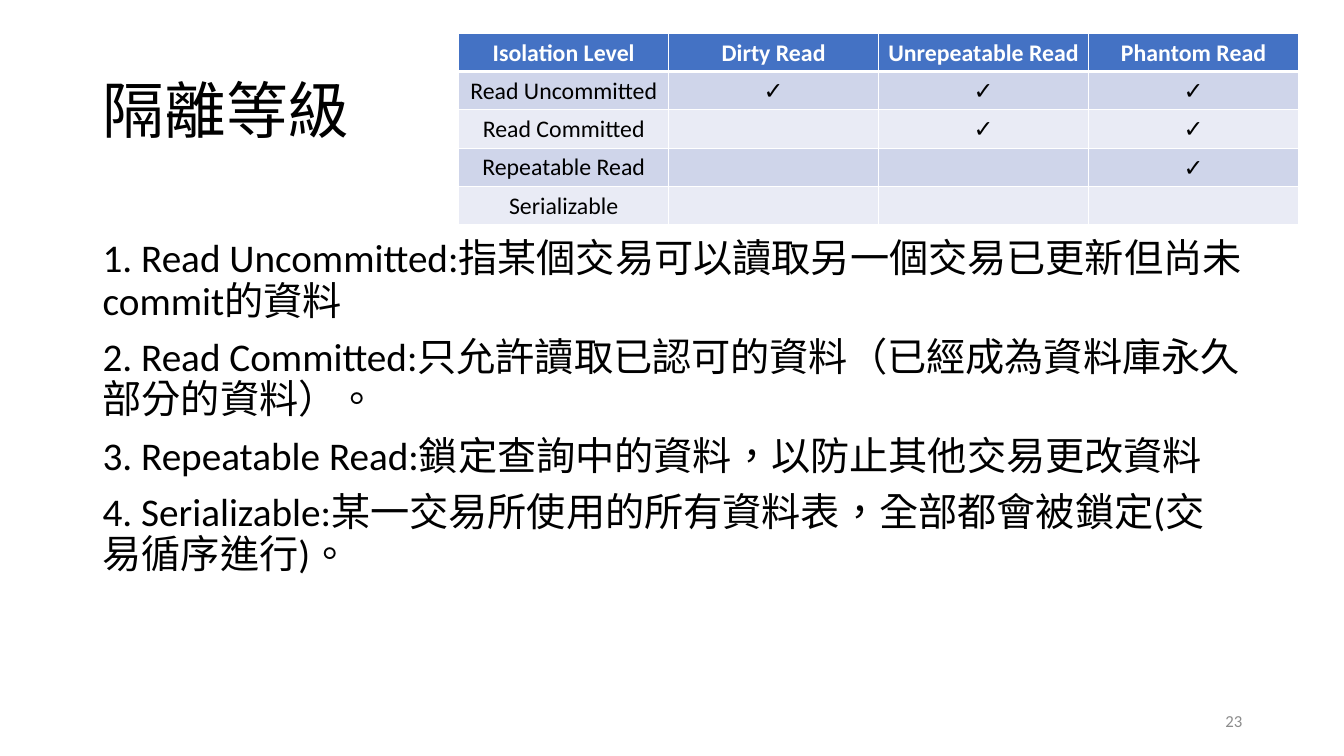
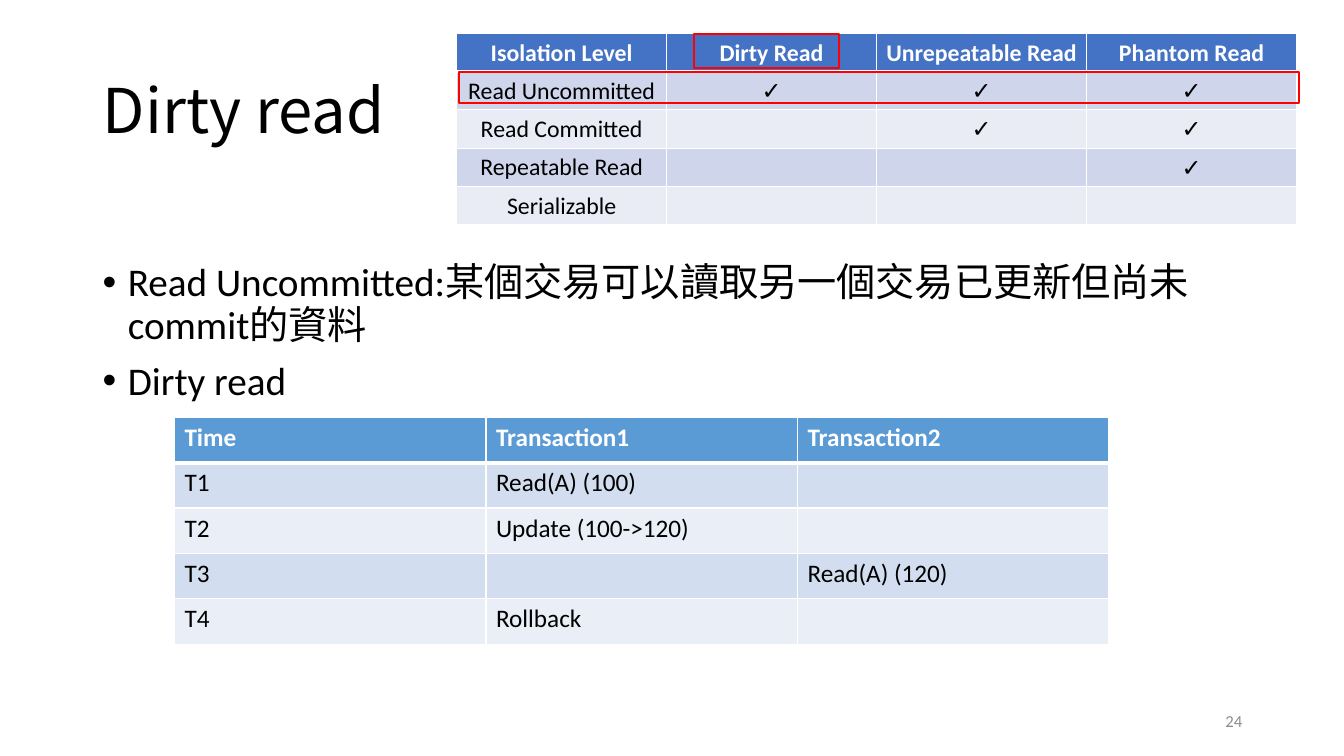
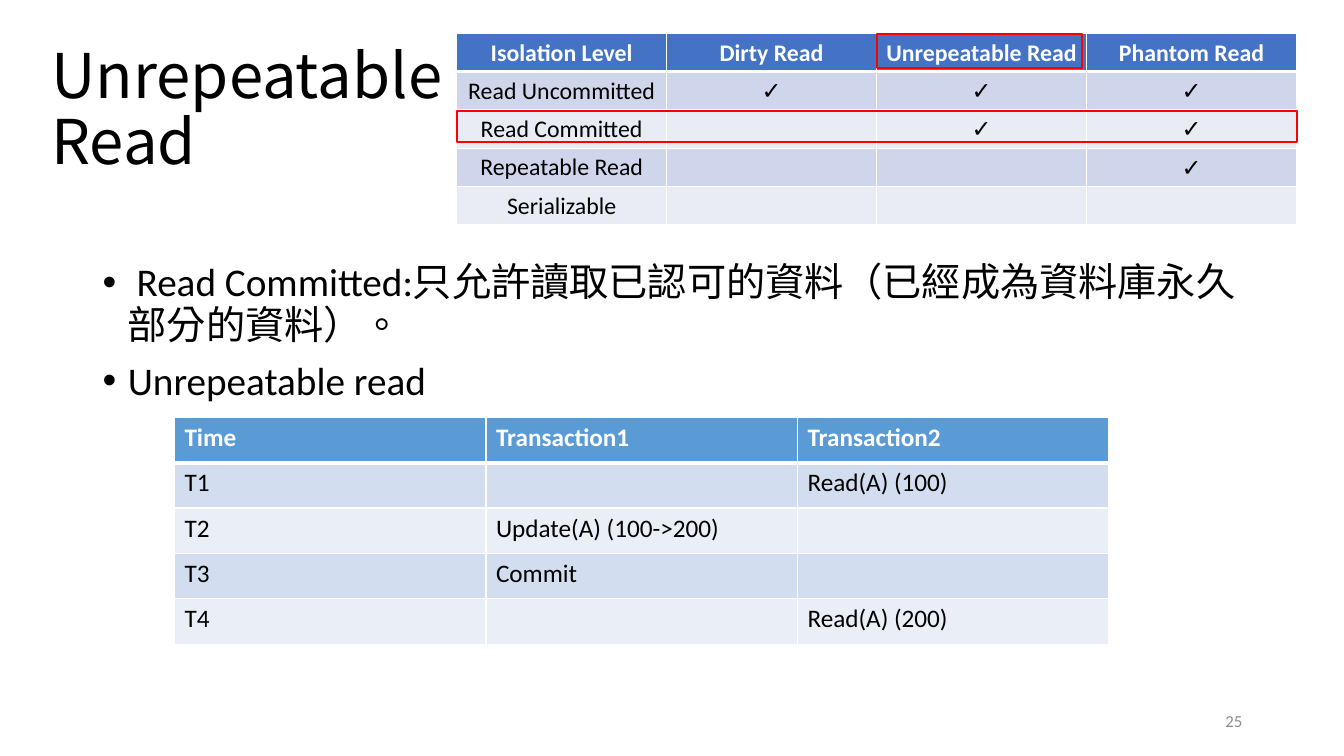
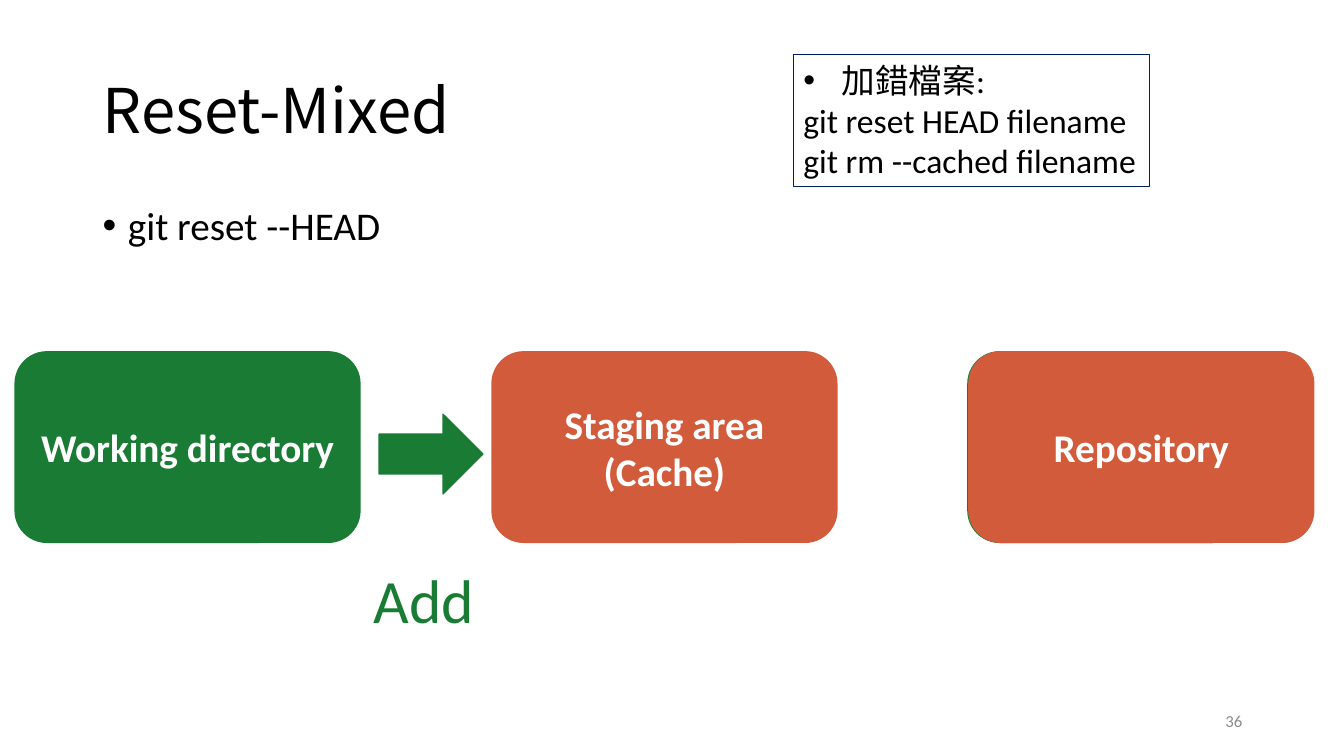
from lxml import etree
from pptx import Presentation
from pptx.dml.color import RGBColor
from pptx.enum.shapes import MSO_SHAPE
from pptx.enum.text import MSO_ANCHOR, MSO_AUTO_SIZE, PP_ALIGN
from pptx.oxml.ns import qn
from pptx.util import Inches, Pt

LEFT, CENTER, RIGHT = PP_ALIGN.LEFT, PP_ALIGN.CENTER, PP_ALIGN.RIGHT
TOP, MIDDLE = MSO_ANCHOR.TOP, MSO_ANCHOR.MIDDLE
NO_FIT, GROW = MSO_AUTO_SIZE.NONE, MSO_AUTO_SIZE.SHAPE_TO_FIT_TEXT
RECT, ROUNDED = MSO_SHAPE.RECTANGLE, MSO_SHAPE.ROUNDED_RECTANGLE
ARROW, FRAME = MSO_SHAPE.RIGHT_ARROW, MSO_SHAPE.FLOWCHART_PROCESS

BLACK = RGBColor(0x00, 0x00, 0x00)
WHITE = RGBColor(0xFF, 0xFF, 0xFF)
GRAY = RGBColor(0x8C, 0x8C, 0x8C)
RED = RGBColor(0xFF, 0x00, 0x00)
NAVY = RGBColor(0x00, 0x20, 0x60)
GREEN = RGBColor(0x1A, 0x7C, 0x34)
ORANGE = RGBColor(0xD1, 0x5B, 0x3B)
BLUE_BANDS = (RGBColor(0x44, 0x72, 0xC4), RGBColor(0xCF, 0xD5, 0xEA), RGBColor(0xE9, 0xEB, 0xF5))
SKY_BANDS = (RGBColor(0x5B, 0x9B, 0xD5), RGBColor(0xD2, 0xDE, 0xEF), RGBColor(0xEA, 0xEF, 0xF7))

BODY_FONT, CJK_FONT, SYMBOL_FONT = "Calibri", "Noto Sans CJK SC", "Arial"
TITLE_BOX = (0.92, 0.4, 11.5, 1.45)
NUMBER_BOX = (9.42, 6.95, 3, 0.4)
LEVEL_BOX = (4.53, 0.33, 8.33, 1.9)
TIME_BOX = (1.73, 4.14, 9.27, 2.25)
FLOW_BOX = (0.15, 3.49, 12.88, 1.89)

CHECK = "✓"
LEVELS = [
    ("Isolation Level", "Dirty Read", "Unrepeatable Read", "Phantom Read"),
    ("Read Uncommitted", CHECK, CHECK, CHECK),
    ("Read Committed", "", CHECK, CHECK),
    ("Repeatable Read", "", "", CHECK),
    ("Serializable", "", "", ""),
]
TIME_HEAD = ("Time", "Transaction1", "Transaction2")


def inches(box):
    return [Inches(v) for v in box]


def add_bullet(p, indent):
    pPr = p._p.get_or_add_pPr()
    pPr.set("marL", str(Inches(indent)))
    pPr.set("indent", str(-Inches(indent)))
    etree.SubElement(pPr, qn("a:buFont")).set("typeface", SYMBOL_FONT)
    etree.SubElement(pPr, qn("a:buChar")).set("char", "•")


def write(tf, paragraphs, size=18, font=BODY_FONT, color=BLACK, bold=False,
          align=LEFT, spacing=None, before=None, bullets=(), indent=0.25):
    for i, text in enumerate(paragraphs):
        p = tf.paragraphs[0] if i == 0 else tf.add_paragraph()
        p.alignment = align
        p.line_spacing = spacing
        p.space_before = before
        if i in bullets:
            add_bullet(p, indent)
        for j, line in enumerate(text.split("\n")):
            if j:
                p.add_line_break()
            r = p.add_run()
            r.text = line
            r.font.size, r.font.name, r.font.bold = Pt(size), font, bold
            r.font.color.rgb = color
            rPr = r._r.get_or_add_rPr()
            rPr.set("lang", "zh-TW")
            etree.SubElement(rPr, qn("a:ea")).set("typeface", CJK_FONT)


def add_text(s, box, paragraphs, anchor=TOP, **fmt):
    tf = s.shapes.add_textbox(*inches(box)).text_frame
    tf.word_wrap = True
    tf.vertical_anchor = anchor
    write(tf, paragraphs, **fmt)


def add_body(s, top, paragraphs, bulleted=True):
    add_text(s, (0.92, top, 11.5, 6.72 - top), paragraphs, size=28, spacing=0.9,
             before=Pt(10), bullets=range(len(paragraphs)) if bulleted else ())


def add_shape(s, kind, box, fill=None, line=None, width=1):
    sp = s.shapes.add_shape(kind, *inches(box))
    sp.shadow.inherit = False
    if fill is None:
        sp.fill.background()
    else:
        sp.fill.solid()
        sp.fill.fore_color.rgb = fill
    sp.line.color.rgb = fill if line is None else line
    sp.line.width = Pt(width)
    return sp


def set_borders(cell, bottom):
    tcPr = cell._tc.get_or_add_tcPr()
    for i, (side, width) in enumerate((("L", 1), ("R", 1), ("T", 1), ("B", bottom))):
        ln = etree.Element(qn(f"a:ln{side}"), w=str(Pt(width)))
        fill = etree.SubElement(ln, qn("a:solidFill"))
        etree.SubElement(fill, qn("a:srgbClr")).set("val", str(WHITE))
        tcPr.insert(i, ln)


def add_grid(s, box, rows, bands, size, align=LEFT, anchor=TOP, margins=(0.1, 0.05, 0.1, 0.05)):
    table = s.shapes.add_table(len(rows), len(rows[0]), *inches(box)).table
    for col in table.columns:
        col.width = Inches(box[2] / len(rows[0]))
    for i, row in enumerate(rows):
        table.rows[i].height = Inches(box[3] / len(rows))
        head = i == 0
        for j, text in enumerate(row):
            cell = table.cell(i, j)
            cell.margin_left, cell.margin_top, cell.margin_right, cell.margin_bottom = inches(margins)
            cell.vertical_anchor = anchor
            cell.fill.solid()
            cell.fill.fore_color.rgb = bands[0] if head else bands[2 - i % 2]
            set_borders(cell, 3 if head else 1)
            if text:
                write(cell.text_frame, [text], size=size, align=align, bold=head,
                      color=WHITE if head else BLACK,
                      font=SYMBOL_FONT if text == CHECK else BODY_FONT)


def add_levels(s, box, marks=()):
    add_grid(s, box, LEVELS, BLUE_BANDS, 17, CENTER, MIDDLE, (0.01, 0.01, 0.01, 0))
    x, y, w, h = box
    cw, rh = w / len(LEVELS[0]), h / len(LEVELS)
    for col, row, cols, rows in marks:
        add_shape(s, FRAME, (x + col * cw, y + row * rh, cols * cw, rows * rh), line=RED, width=1.5)


def add_flow(s, box):
    x, y, w, h = box
    bw = 3.42
    pitch = (w - bw) / 2
    stages = [
        (0, GREEN, ["Working directory"]),
        (2 * pitch - 0.01, GREEN, ["Repository"]),
        (2 * pitch, ORANGE, ["Repository"]),
        (pitch, ORANGE, ["Staging area", "(Cache)"]),
    ]
    for dx, color, lines in stages:
        sp = add_shape(s, ROUNDED, (x + dx, y, bw, h), fill=color)
        sp.text_frame.word_wrap = True
        sp.text_frame.vertical_anchor = MIDDLE
        write(sp.text_frame, lines, size=28, color=WHITE, bold=True, align=CENTER)
    add_shape(s, ARROW, (x + bw + 0.19, y + 0.62, 1.03, 0.79), fill=GREEN)
    add_text(s, (x + bw + 0.04, y + h + 0.15, 1.76, 0.84), ["Add"], size=44, color=GREEN)


def add_command_note(s, box):
    sp = add_shape(s, RECT, box, line=NAVY, width=0.75)
    tf = sp.text_frame
    tf.word_wrap = False
    tf.auto_size = GROW
    tf.vertical_anchor = TOP
    write(tf, ["加錯檔案:", "git reset HEAD filename", "git rm --cached filename"],
          size=24, bullets=(0,), indent=0.38)


def new_slide(prs, title, number, title_box=TITLE_BOX):
    s = prs.slides.add_slide(prs.slide_layouts[5])
    sp = s.shapes.title
    sp.left, sp.top, sp.width, sp.height = inches(title_box)
    tf = sp.text_frame
    tf.word_wrap = True
    tf.auto_size = NO_FIT
    tf.vertical_anchor = MIDDLE
    write(tf, [title], size=44, font=CJK_FONT, spacing=0.9)
    add_text(s, NUMBER_BOX, [str(number)], anchor=MIDDLE, size=12, color=GRAY, align=RIGHT)
    return s


def levels_slide(prs):
    s = new_slide(prs, "隔離等級", 23)
    add_body(s, 2.32, [
        "1. Read Uncommitted:指某個交易可以讀取另一個交易已更新但尚未commit的資料",
        "2. Read Committed:只允許讀取已認可的資料（已經成為資料庫永久部分的資料）。",
        "3. Repeatable Read:鎖定查詢中的資料，以防止其他交易更改資料",
        "4. Serializable:某一交易所使用的所有資料表，全部都會被鎖定(交易循序進行)。",
    ], bulleted=False)
    add_levels(s, (4.55,) + LEVEL_BOX[1:])


def anomaly_slide(prs, title, number, body, marks, steps, title_box=TITLE_BOX):
    s = new_slide(prs, title, number, title_box)
    add_body(s, 2.56, body)
    add_levels(s, LEVEL_BOX, marks)
    add_grid(s, TIME_BOX, [TIME_HEAD] + steps, SKY_BANDS, 18)


def reset_slide(prs):
    s = new_slide(prs, "Reset-Mixed", 36)
    add_body(s, 2, ["git reset --HEAD"])
    add_flow(s, FLOW_BOX)
    add_command_note(s, (7.87, 0.54, 3.53, 1.31))


def main():
    prs = Presentation()
    prs.slide_width, prs.slide_height = Inches(13.33), Inches(7.5)
    levels_slide(prs)
    anomaly_slide(
        prs, "Dirty read", 24,
        ["Read Uncommitted:某個交易可以讀取另一個交易已更新但尚未commit的資料", "Dirty read"],
        [(1.13, 0.03, 0.69, 0.87), (0.01, 1, 4, 0.82)],
        [("T1", "Read(A) (100)", ""), ("T2", "Update (100->120)", ""),
         ("T3", "", "Read(A) (120)"), ("T4", "Rollback", "")])
    anomaly_slide(
        prs, "Unrepeatable\nRead", 25,
        [" Read Committed:只允許讀取已認可的資料（已經成為資料庫永久部分的資料）。", "Unrepeatable read"],
        [(2, 0.03, 0.98, 0.87), (0, 2.03, 4, 0.82)],
        [("T1", "", "Read(A) (100)"), ("T2", "Update(A) (100->200)", ""),
         ("T3", "Commit", ""), ("T4", "", "Read(A) (200)")],
        title_box=(0.41, 0.38, 11.5, 1.45))
    reset_slide(prs)
    prs.save("out.pptx")


if __name__ == "__main__":
    main()
